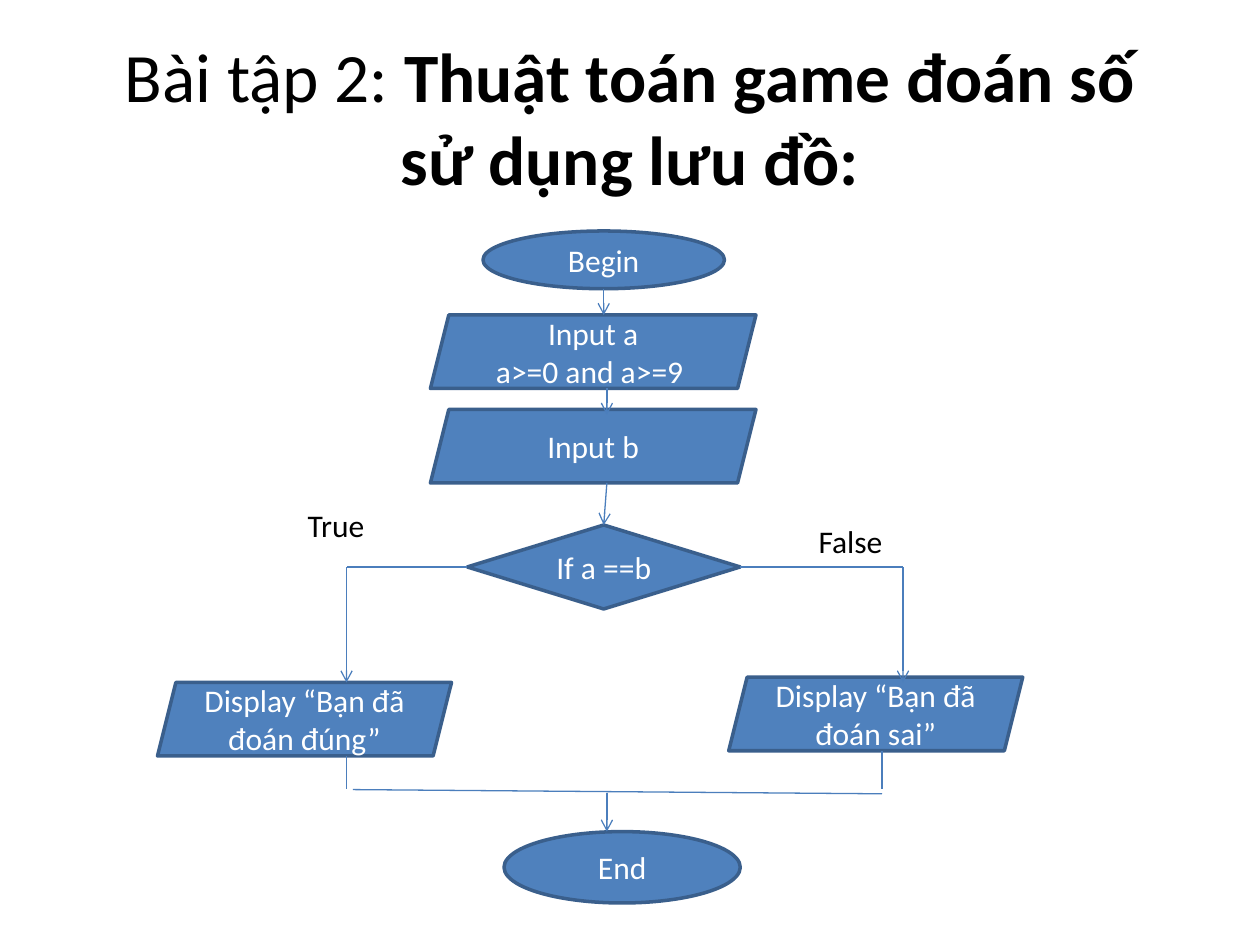
from pptx import Presentation
from pptx.dml.color import RGBColor
from pptx.enum.shapes import MSO_CONNECTOR, MSO_SHAPE
from pptx.enum.text import MSO_ANCHOR, PP_ALIGN
from pptx.oxml.ns import qn
from pptx.util import Inches, Pt
from lxml import etree

OVAL, DIAMOND, RECT = MSO_SHAPE.OVAL, MSO_SHAPE.DIAMOND, MSO_SHAPE.RECTANGLE
DATA = MSO_SHAPE.PARALLELOGRAM
STRAIGHT = MSO_CONNECTOR.STRAIGHT
MIDDLE, CENTER = MSO_ANCHOR.MIDDLE, PP_ALIGN.CENTER

COLORS = {"fill": "4F81BD", "border": "3A5F8C", "flow": "4B7EBC",
          "white": "FFFFFF", "black": "000000"}
FONT = "Calibri"


def rgb(name):
    return RGBColor.from_string(COLORS[name])


def grid(*cells):
    """Convert grid cells (12 to the inch) to lengths."""
    return [Inches(c / 12) for c in cells]


class Flowchart:
    def __init__(self, slide):
        self.s = slide

    def style(self, r, size, color, bold=False):
        r.font.name, r.font.size, r.font.bold = FONT, Pt(size), bold
        r.font.color.rgb = rgb(color)

    def title(self, box, lead, lines):
        tf = self.s.shapes.add_textbox(*grid(*box)).text_frame
        tf.word_wrap, tf.vertical_anchor = True, MIDDLE
        p = tf.paragraphs[0]
        p.alignment = CENTER
        r = p.add_run()
        r.text = lead
        self.style(r, 39.6, "black")
        for i, line in enumerate(lines):
            if i:
                p.add_line_break()
            r = p.add_run()
            r.text = line
            self.style(r, 39.6, "black", True)

    def node(self, kind, box, text, fill="fill", border="border", color="white"):
        sp = self.s.shapes.add_shape(kind, *grid(*box))
        sp.shadow.inherit = False
        sp.fill.solid()
        sp.fill.fore_color.rgb = rgb(fill)
        sp.line.color.rgb = rgb(border)
        sp.line.width = Pt(2)
        tf = sp.text_frame
        tf.text = text
        tf.word_wrap, tf.vertical_anchor = True, MIDDLE
        for p in tf.paragraphs:
            p.alignment = CENTER
            for r in p.runs:
                self.style(r, 18, color)

    def label(self, box, text):
        self.node(RECT, box, text, "white", "white", "black")

    def flow(self, ends, arrow=False):
        c = self.s.shapes.add_connector(STRAIGHT, *grid(*ends))
        c.line.color.rgb = rgb("flow")
        c.line.width = Pt(0.75)
        props = c._element.spPr
        if arrow:
            etree.SubElement(props.find(qn("a:ln")), qn("a:tailEnd"), type="arrow")
        etree.SubElement(props, qn("a:effectLst"))


prs = Presentation()
prs.slide_width, prs.slide_height = Inches(10), Inches(7.5)
chart = Flowchart(prs.slides.add_slide(prs.slide_layouts[6]))

# Title
chart.title((6, 3.6, 108, 15), "Bài tập 2: ",
            ["Thuật toán game đoán số", "sử dụng lưu đồ:"])

# Steps
for kind, box, text in [
    (OVAL, (46, 22, 23, 5.5), "Begin"),
    (DATA, (41, 30, 31, 7), "Input a\na>=0 and a>=9 "),
    (DATA, (41, 39, 31, 7), "Input b"),
    (DIAMOND, (44.5, 50, 26, 8), "If a ==b"),
    (DATA, (15, 65, 28, 7), "Display “Bạn đã đoán đúng”"),
    (DATA, (69.4, 64.5, 28, 7), "Display “Bạn đã đoán sai”"),
    (OVAL, (48, 79.2, 22.5, 6.8), "End"),
]:
    chart.node(kind, box, text)

# Branch labels
chart.label((27, 48, 10, 4), "True")
chart.label((76, 49.5, 10, 4), "False")

# Plain lines: branches out of the decision, then the merge
for ends in [(44.5, 54, 33, 54), (70.5, 54, 86, 54),
             (33, 72, 33, 75.1), (84, 71.5, 84, 75.1),
             (33.6, 75.2, 84, 75.6)]:
    chart.flow(ends)

# Arrows: main column, two branches, end
for ends in [(57.5, 27.5, 57.5, 30), (57.8, 37, 57.8, 39.5),
             (57.8, 46, 57.5, 50), (33, 54, 33, 65),
             (86, 54, 86, 65), (57.8, 75.5, 57.8, 79.2)]:
    chart.flow(ends, arrow=True)

prs.save("out.pptx")
